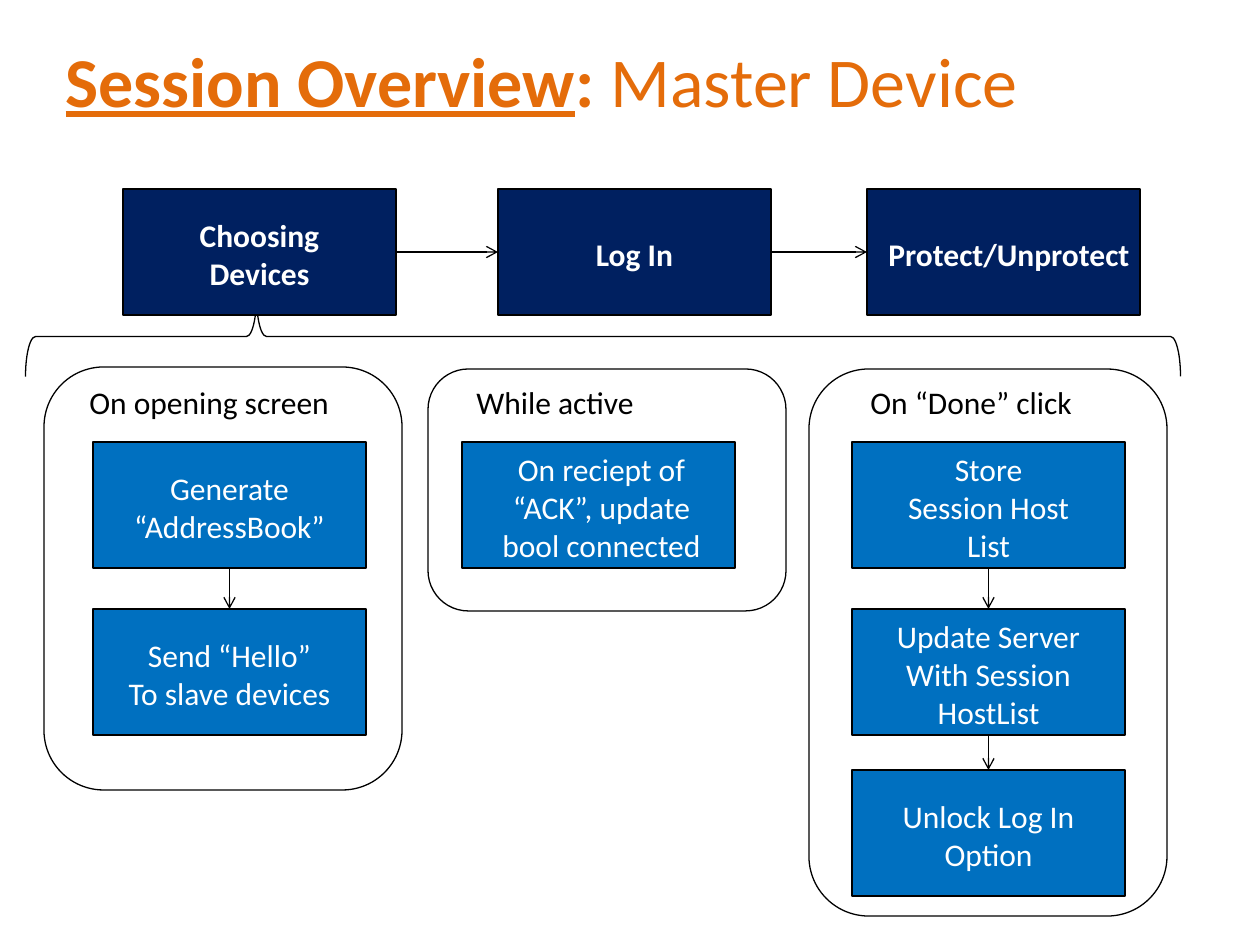
from itertools import pairwise

from lxml.etree import SubElement
from pptx import Presentation
from pptx.dml.color import RGBColor
from pptx.enum.shapes import MSO_CONNECTOR, MSO_SHAPE
from pptx.enum.text import MSO_ANCHOR, MSO_AUTO_SIZE, PP_ALIGN
from pptx.oxml.ns import qn
from pptx.util import Pt

PX = 914400 / 126
ORANGE = RGBColor(0xE4, 0x6C, 0x0A)
NAVY = RGBColor(0x00, 0x20, 0x60)
BLUE = RGBColor(0x00, 0x70, 0xC0)
BLACK = RGBColor(0, 0, 0)
WHITE = RGBColor(0xFF, 0xFF, 0xFF)

# Content: each step is (paragraphs, drawn lines, label inset, label width)
TITLE = [("Session Overview", True, True), (": ", True, False),
         ("Master Device", False, False)]
PHASES = [
    (123, (["Choosing", "Devices"], 2, 21, 231)),
    (498, (["Log In"], 1, 21, 231)),
    (867, (["Protect/Unprotect"], 1, 0, 284)),
]
# Panels: heading, heading left, frame box, steps left, steps
PANELS = [
    ("On opening screen", 77, (44, 367, 358, 423), 93, [
        (["Generate “AddressBook”"], 2, 8, 257),
        (["Send “Hello”", "To slave devices"], 2, 8, 257),
    ]),
    ("While active", 464, (428, 369, 358, 242), 462, [
        (["On reciept of “ACK”, update bool connected"], 3, 11, 257),
    ]),
    ("On “Done” click", 858, (809, 369, 358, 547), 852, [
        (["Store", "Session Host List"], 3, 21, 231),
        (["Update Server", "With Session HostList"], 3, 21, 231),
        (["Unlock Log In", "Option"], 2, 21, 231),
    ]),
]

# Layout
BOX_W, BOX_H = 273, 126
PHASE_TOP = 189
STEP_TOPS = [442, 609, 770]
HEADING_TOP, HEADING_W = 377, 478
LINE_H, TEXT_PAD = 38, 12
TOP_SITE, LEFT_SITE, BOTTOM_SITE, RIGHT_SITE = range(4)

prs = Presentation()
prs.slide_width, prs.slide_height = round(1260 * PX), round(945 * PX)
slide = prs.slides.add_slide(prs.slide_layouts[5])


def emu(*lengths):
    return [round(length * PX) for length in lengths]


def add_outline(kind, box, fill=None):
    outline = slide.shapes.add_shape(kind, *emu(*box))
    outline.shadow.inherit = False
    outline.line.color.rgb = BLACK
    outline.line.width = Pt(0.75)
    if fill is None:
        outline.fill.background()
    else:
        outline.fill.solid()
        outline.fill.fore_color.rgb = fill
    return outline


def add_text(paragraphs, box, color=BLACK, bold=False, align=PP_ALIGN.LEFT):
    frame = slide.shapes.add_textbox(*emu(*box)).text_frame
    frame.word_wrap = True
    frame.auto_size = MSO_AUTO_SIZE.SHAPE_TO_FIT_TEXT
    frame.text = "\n".join(paragraphs)
    for paragraph in frame.paragraphs:
        paragraph.alignment = align
        font = paragraph.runs[0].font
        font.name, font.size, font.bold = "Calibri", Pt(18), bold
        font.color.rgb = color


def add_step(left, top, step, fill, bold=False):
    paragraphs, lines, inset, width = step
    box = add_outline(MSO_SHAPE.RECTANGLE, (left, top, BOX_W, BOX_H), fill)
    height = lines * LINE_H + TEXT_PAD
    label_top = top + (BOX_H - height) / 2 + 2
    add_text(paragraphs, (left + inset, label_top, width, height),
             color=WHITE, bold=bold, align=PP_ALIGN.CENTER)
    return box


def link_steps(boxes, start_site, end_site):
    for start, end in pairwise(boxes):
        arrow = slide.shapes.add_connector(MSO_CONNECTOR.STRAIGHT, 0, 0, 0, 0)
        arrow.begin_connect(start, start_site)
        arrow.end_connect(end, end_site)
        arrow.line.color.rgb = BLACK
        arrow.line.width = Pt(0.75)
        SubElement(arrow.line._get_or_add_ln(), qn("a:tailEnd"), type="arrow")
        SubElement(arrow._element.spPr, qn("a:effectLst"))


# Title
title = slide.shapes.title
title.left, title.top, title.width, title.height = emu(53, 0, 1134, 158)
title.text_frame.vertical_anchor = MSO_ANCHOR.MIDDLE
heading = title.text_frame.paragraphs[0]
heading.alignment = PP_ALIGN.LEFT
for words, bold, underline in TITLE:
    run = heading.add_run()
    run.text = words
    run.font.name, run.font.size = "Calibri", Pt(40)
    run.font.bold, run.font.underline = bold, underline
    run.font.color.rgb = ORANGE

# Brace that opens the first phase into the panels
brace = add_outline(MSO_SHAPE.LEFT_BRACE, (563, -241, 80, 1155))
brace.rotation = 90
brace.adjustments[0], brace.adjustments[1] = 0.125, 0.8

# Phases across the top
phase_boxes = [add_step(left, PHASE_TOP, phase, NAVY, bold=True)
               for left, phase in PHASES]
link_steps(phase_boxes, RIGHT_SITE, LEFT_SITE)

# Panels with their steps
for caption, caption_left, frame_box, steps_left, steps in PANELS:
    add_outline(MSO_SHAPE.ROUNDED_RECTANGLE, frame_box)
    add_text([caption], (caption_left, HEADING_TOP, HEADING_W, 48))
    step_boxes = [add_step(steps_left, top, step, BLUE)
                  for top, step in zip(STEP_TOPS, steps)]
    link_steps(step_boxes, BOTTOM_SITE, TOP_SITE)

prs.save("out.pptx")
